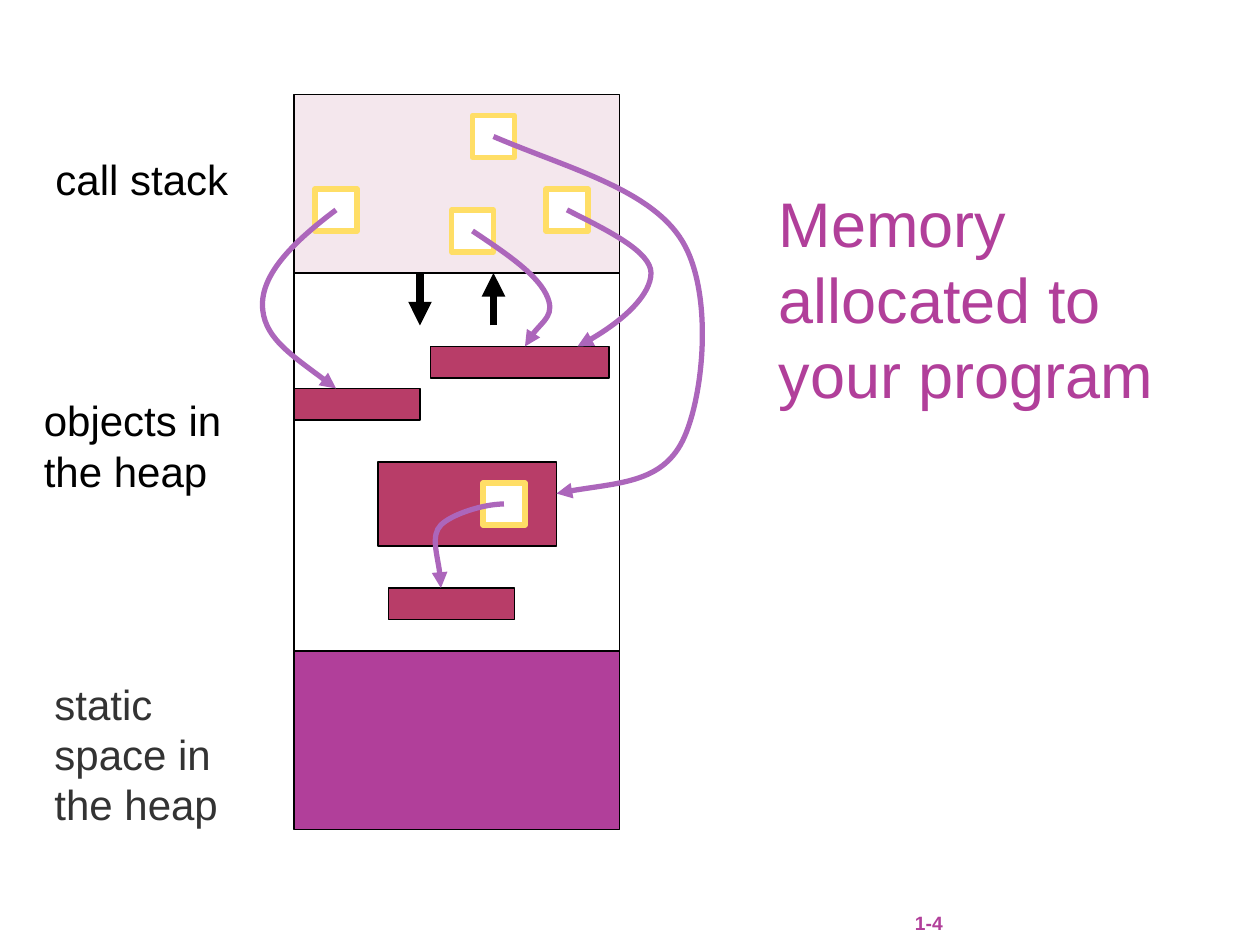
from lxml import etree
from pptx import Presentation
from pptx.dml.color import RGBColor
from pptx.enum.shapes import MSO_CONNECTOR, MSO_SHAPE
from pptx.enum.text import MSO_ANCHOR, PP_ALIGN
from pptx.oxml.ns import qn
from pptx.util import Inches, Pt

BLACK = RGBColor(0x00, 0x00, 0x00)
WHITE = RGBColor(0xFF, 0xFF, 0xFF)
GRAY = RGBColor(0x33, 0x33, 0x33)
PALE_PINK = RGBColor(0xF4, 0xE7, 0xED)
MAGENTA = RGBColor(0xB1, 0x3F, 0x9A)
CRIMSON = RGBColor(0xB8, 0x3D, 0x68)
YELLOW = RGBColor(0xFF, 0xDE, 0x66)
PURPLE = RGBColor(0xAC, 0x66, 0xBB)

COLUMNS, ROWS = 120, 90
CELL = Inches(10) // COLUMNS

MEMORY_LEFT, MEMORY_TOP, MEMORY_WIDTH = 28, 9, 31
REGIONS = [(17, PALE_PINK), (36, WHITE), (17, MAGENTA)]
GROWTH_ARROWS = [((40, 26), (40, 31)), ((47, 31), (47, 26))]
HEAP_OBJECTS = [(28, 37, 12, 3), (41, 33, 17, 3), (36, 44, 17, 8), (37, 56, 12, 3)]
VARIABLE_SIZE = 4
VARIABLES = [(30, 18), (43, 20), (45, 11), (52, 18), (46, 46)]
REFERENCES = [
    [(32, 20), (28.5, 23), (25, 26.1), (25, 29), (25, 31.8), (28.5, 34.4), (32, 37)],
    [(45, 22), (48.1, 24.1), (51.1, 26.2), (52, 28), (52.8, 29.9), (51.4, 31.4), (50, 33)],
    [(54, 20), (58, 22), (61.8, 23.9), (62, 26), (62.2, 28.2), (58.6, 30.6), (55, 33)],
    [(47, 13), (54.5, 15.6), (62, 18.1), (65, 23), (68, 27.8), (67, 38), (65, 42),
     (63, 46), (58, 46.4), (53, 47)],
    [(48, 48), (45.5, 48.4), (43, 48.7), (42, 50), (41, 51.4), (41.5, 53.6), (42, 56)],
]
LABELS = [
    (" call stack", (3, 14, 24, 6), 24, BLACK),
    ("objects in the heap", (3, 37, 24, 10.8), 24, BLACK),
    ("static space in the heap", (4, 64, 22, 15.6), 24, GRAY),
    ("Memory allocated to your program", (73, 17, 42, 22.8), 36, MAGENTA),
]
PAGE_NUMBER = ("1-4", (82.1, 86, 7.7, 3), 11, MAGENTA)


def cells(values):
    return [round(value * CELL) for value in values]


def add_box(slide, area, fill, outline=BLACK, weight=0.75):
    box = slide.shapes.add_shape(MSO_SHAPE.RECTANGLE, *cells(area))
    box.shadow.inherit = False
    box.fill.solid()
    box.fill.fore_color.rgb = fill
    box.line.color.rgb = outline
    box.line.width = Pt(weight)


def add_text(slide, text, area, size, color):
    label = slide.shapes.add_textbox(*cells(area))
    frame = label.text_frame
    frame.word_wrap = True
    frame.text = text
    font = frame.paragraphs[0].runs[0].font
    font.name = "Arial"
    font.size = Pt(size)
    font.color.rgb = color
    return frame


def style_arrow(arrow, color, weight):
    arrow.line.color.rgb = color
    arrow.line.width = Pt(weight)
    etree.SubElement(arrow.line._get_or_add_ln(), qn("a:tailEnd"), type="triangle")


def add_growth_arrow(slide, start, end):
    arrow = slide.shapes.add_connector(MSO_CONNECTOR.STRAIGHT, *cells(start + end))
    style_arrow(arrow, BLACK, 4.5)
    etree.SubElement(arrow._element.spPr, qn("a:effectLst"))


def add_reference(slide, points):
    builder = slide.shapes.build_freeform(*points[0], scale=CELL)
    builder.add_line_segments(points[1:], close=False)
    curve = builder.convert_to_shape()
    curve.shadow.inherit = False
    curve.fill.background()
    style_arrow(curve, PURPLE, 3)
    segments = list(curve._element.iter(qn("a:lnTo")))
    for first in range(0, len(segments), 3):
        bezier = etree.Element(qn("a:cubicBezTo"))
        segments[first].addprevious(bezier)
        for segment in segments[first:first + 3]:
            bezier.append(segment[0])
            segment.getparent().remove(segment)


def main():
    deck = Presentation()
    deck.slide_width, deck.slide_height = COLUMNS * CELL, ROWS * CELL
    slide = deck.slides.add_slide(deck.slide_layouts[6])

    top = MEMORY_TOP
    for height, fill in REGIONS:
        add_box(slide, (MEMORY_LEFT, top, MEMORY_WIDTH, height), fill)
        top += height
    for start, end in GROWTH_ARROWS:
        add_growth_arrow(slide, start, end)
    for area in HEAP_OBJECTS:
        add_box(slide, area, CRIMSON)
    for label in LABELS:
        add_text(slide, *label)
    for corner in VARIABLES:
        add_box(slide, (*corner, VARIABLE_SIZE, VARIABLE_SIZE), WHITE, YELLOW, 3)
    for points in REFERENCES:
        add_reference(slide, points)

    number = add_text(slide, *PAGE_NUMBER)
    number.margin_left = number.margin_right = number.margin_top = number.margin_bottom = 0
    number.vertical_anchor = MSO_ANCHOR.BOTTOM
    number.paragraphs[0].alignment = PP_ALIGN.RIGHT
    number.paragraphs[0].runs[0].font.bold = True

    deck.save("out.pptx")


if __name__ == "__main__":
    main()
